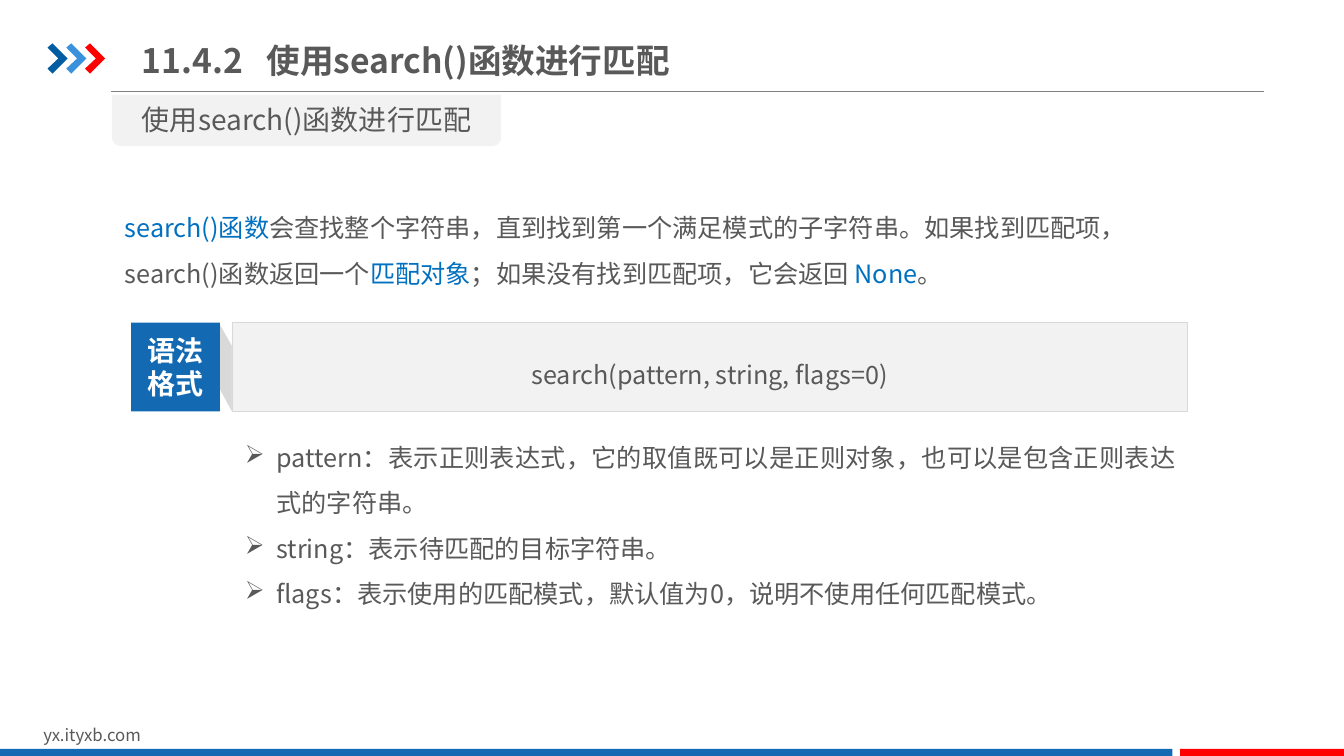
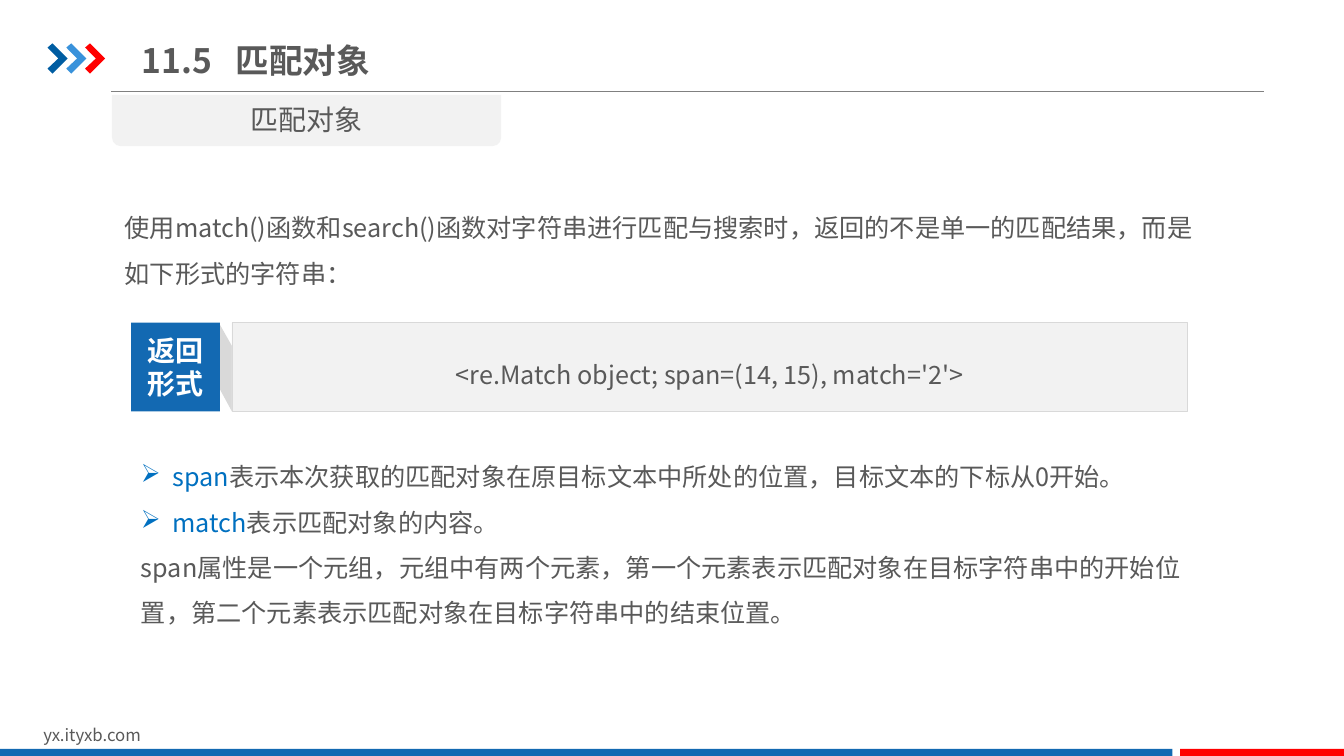
from lxml import etree
from pptx import Presentation
from pptx.dml.color import RGBColor
from pptx.enum.shapes import MSO_CONNECTOR, MSO_SHAPE
from pptx.enum.text import MSO_ANCHOR, PP_ALIGN
from pptx.oxml.ns import qn
from pptx.util import Pt

RECT = MSO_SHAPE.RECTANGLE
TAB = MSO_SHAPE.ROUND_2_SAME_RECTANGLE
LEFT, MID, EVEN = PP_ALIGN.LEFT, PP_ALIGN.CENTER, PP_ALIGN.JUSTIFY
TOP, HALF = MSO_ANCHOR.TOP, MSO_ANCHOR.MIDDLE

FACE = "Noto Sans CJK SC"
WHITE = RGBColor(0xFF, 0xFF, 0xFF)
PALE = RGBColor(0xF2, 0xF2, 0xF2)
SILVER = RGBColor(0xD9, 0xD9, 0xD9)
GRAY = RGBColor(0x80, 0x80, 0x80)
INK = RGBColor(0x59, 0x59, 0x59)
BLUE = RGBColor(0x13, 0x69, 0xB2)
AZURE = RGBColor(0x00, 0x70, 0xC0)
NAVY = RGBColor(0x00, 0x5D, 0xA2)
SKY = RGBColor(0x39, 0x92, 0xDB)
RED = RGBColor(0xFF, 0x00, 0x00)

HEAD = {"size": Pt(24), "bold": True}
LABEL = {"size": Pt(20), "bold": False}
BADGE = {"size": Pt(20), "bold": True}
BODY = {"size": Pt(18), "bold": False}
FOOT = {"size": Pt(12), "bold": False}

BULLET = "➢"
HANG = Pt(22.5)
ARROW = [(0, 3), (3.5, 0), (14.4, 10.8), (3.5, 21.6), (0, 18), (7.7, 10.8)]
FOLD = [(157, 231.8), (165.6, 247), (165.6, 293.8), (157, 278)]

PAGES = [
    {
        "head": "11.4.2\t使用search()函数进行匹配",
        "stop": 89,
        "label": "使用search()函数进行匹配",
        "intro": [
            ("search()函数", AZURE),
            ("会查找整个字符串，直到找到第一个满足模式的子字符串。"
             "如果找到匹配项，search()函数返回一个", INK),
            ("匹配对象", AZURE),
            ("；如果没有找到匹配项，它会返回 ", INK),
            ("None", AZURE),
            ("。", INK),
        ],
        "badge": ["语法", "格式"],
        "code": "search(pattern, string, flags=0)",
        "box": (165.6, 300.2, 684, 140.4),
        "inset": (9.4, 5),
        "align": EVEN,
        "list": [
            (BULLET, [("pattern：表示正则表达式，它的取值既可以是正则对象，"
                       "也可以是包含正则表达式的字符串。", INK)]),
            (BULLET, [("string：表示待匹配的目标字符串。", INK)]),
            (BULLET, [("flags：表示使用的匹配模式，默认值为0，"
                       "说明不使用任何匹配模式。", INK)]),
        ],
    },
    {
        "head": "11.5\t匹配对象",
        "stop": 67,
        "label": "匹配对象",
        "intro": [
            ("使用match()函数和search()函数对字符串进行匹配与搜索时，"
             "返回的不是单一的匹配结果，而是如下形式的字符串：", INK),
        ],
        "badge": ["返回", "形式"],
        "code": "<re.Match object; span=(14, 15), match='2'>",
        "box": (93.6, 315.4, 769, 138.2),
        "inset": (7.2, 3.6),
        "align": LEFT,
        "list": [
            (BULLET, [("span", AZURE),
                      ("表示本次获取的匹配对象在原目标文本中所处的位置，"
                       "目标文本的下标从0开始。", INK)]),
            (BULLET, [("match", AZURE), ("表示匹配对象的内容。", INK)]),
            (None, [("span属性是一个元组，元组中有两个元素，"
                     "第一个元素表示匹配对象在目标字符串中的开始位置，"
                     "第二个元素表示匹配对象在目标字符串中的结束位置。", INK)]),
        ],
    },
]


def paint(shape, fill):
    shape.shadow.inherit = False
    shape.fill.solid()
    shape.fill.fore_color.rgb = fill
    shape.line.fill.background()
    return shape


def write(shape, paras, style, align=LEFT, anchor=TOP, space=1, inset=(7.2, 3.6), stop=None):
    frame = shape.text_frame
    side, edge = Pt(inset[0]), Pt(inset[1])
    form = {"word_wrap": True, "vertical_anchor": anchor, "margin_left": side,
            "margin_right": side, "margin_top": edge, "margin_bottom": edge}
    for key, val in form.items():
        setattr(frame, key, val)
    for num, (mark, runs) in enumerate(paras):
        para = frame.add_paragraph() if num else frame.paragraphs[0]
        props = para._p.get_or_add_pPr()
        if mark:
            props.set("marL", str(HANG))
            props.set("indent", str(-HANG))
            etree.SubElement(props, qn("a:buChar")).set("char", mark)
        if stop:
            tabs = etree.SubElement(props, qn("a:tabLst"))
            etree.SubElement(tabs, qn("a:tab"), pos=str(Pt(stop)), algn="l")
        para.alignment = align
        para.line_spacing = space
        for text, color in runs:
            run = para.add_run()
            run.text = text
            for key, val in style.items():
                setattr(run.font, key, val)
            run.font.color.rgb = color
            run.font.name = FACE
            etree.SubElement(run._r.get_or_add_rPr(), qn("a:ea")).set("typeface", FACE)


deck = Presentation()
deck.slide_width = Pt(960)
deck.slide_height = Pt(540)

for page in PAGES:
    shapes = deck.slides.add_slide(deck.slide_layouts[6]).shapes

    rule = shapes.add_connector(MSO_CONNECTOR.STRAIGHT, Pt(79.2), Pt(65.5), Pt(903), Pt(65.5))
    rule.line.color.rgb = GRAY
    rule.line.width = Pt(0.75)
    etree.SubElement(rule._element.spPr, qn("a:effectLst"))

    outlines = [([(34 + 13.4 * i + x, 31 + y) for x, y in ARROW], color)
                for i, color in enumerate((NAVY, SKY, RED))]
    for dots, color in outlines + [(FOLD, SILVER)]:
        dots = [(Pt(x), Pt(y)) for x, y in dots]
        path = shapes.build_freeform(*dots[0])
        path.add_line_segments(dots[1:], close=True)
        paint(path.convert_to_shape(), color)

    for left, width, color in ((0, 837.4, BLUE), (843, 117, RED)):
        paint(shapes.add_shape(RECT, Pt(left), Pt(535), Pt(width), Pt(5)), color)

    foot = shapes.add_textbox(Pt(23.8), Pt(514), Pt(229), Pt(21.6))
    write(foot, [(None, [("yx.ityxb.com", INK)])], FOOT)

    title = shapes.add_textbox(Pt(94.3), Pt(21), Pt(456.5), Pt(44))
    write(title, [(None, [(page["head"], INK)])], HEAD, anchor=HALF, stop=page["stop"])

    label = paint(shapes.add_shape(TAB, Pt(80), Pt(67.7), Pt(278), Pt(36.7)), PALE)
    label.adjustments[0] = 0
    label.adjustments[1] = 0.17
    write(label, [(None, [(page["label"], INK)])], LABEL, MID, HALF)

    intro = shapes.add_textbox(Pt(82), Pt(137.5), Pt(780), Pt(72.7))
    write(intro, [(None, page["intro"])], BODY, space=1.5)

    badge = paint(shapes.add_shape(RECT, Pt(93.6), Pt(230.4), Pt(63.4), Pt(63.4)), BLUE)
    write(badge, [(None, [(word, WHITE)]) for word in page["badge"]], BADGE, MID, HALF)

    code = paint(shapes.add_shape(RECT, Pt(165.6), Pt(230.4), Pt(682.6), Pt(63.4)), PALE)
    code.line.color.rgb = SILVER
    code.line.width = Pt(0.25)
    write(code, [(None, [(page["code"], INK)])], BODY, MID, HALF, 1.5)

    notes = shapes.add_textbox(*map(Pt, page["box"]))
    write(notes, page["list"], BODY, page["align"], space=1.5, inset=page["inset"])

deck.save("out.pptx")
